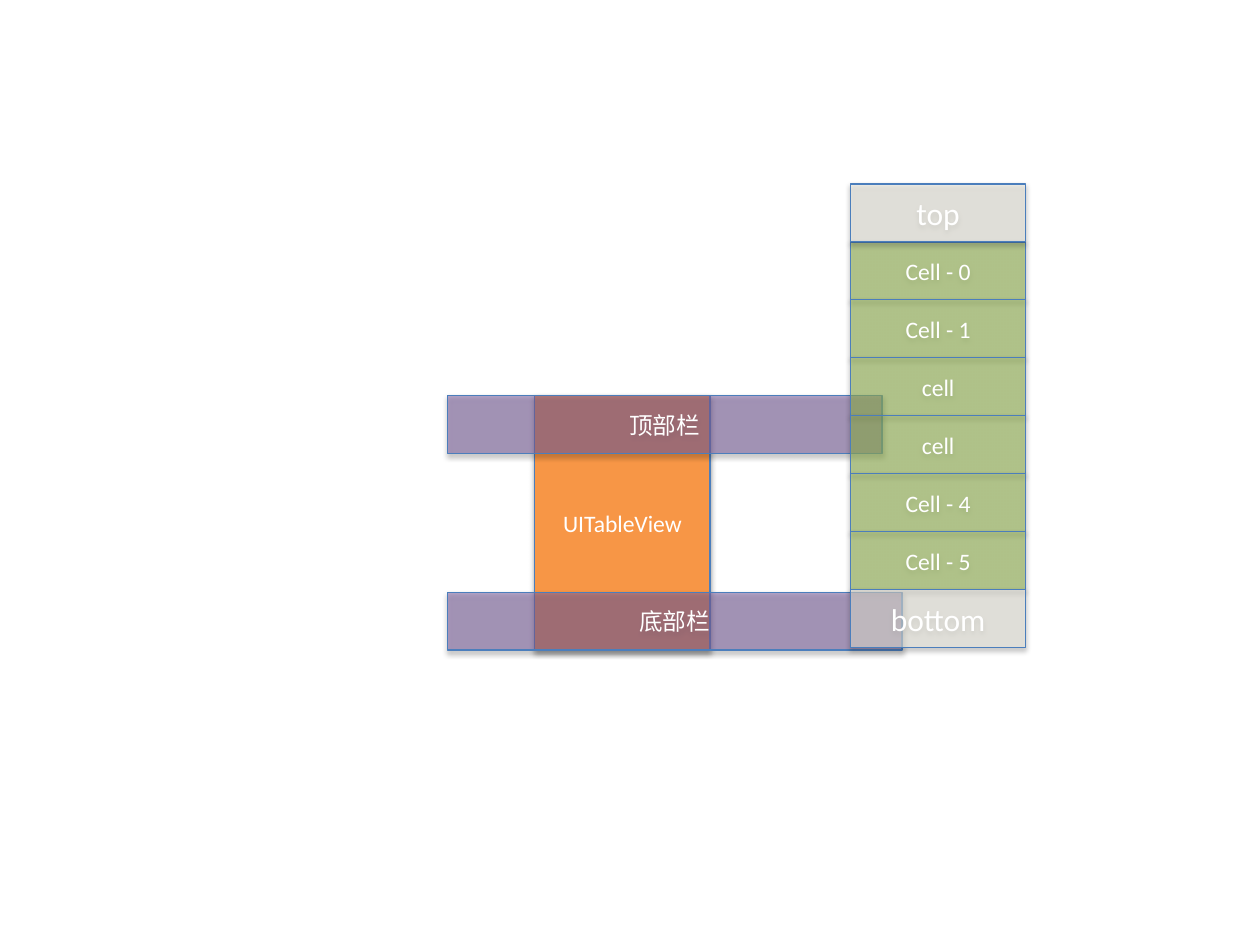
from lxml.etree import SubElement
from pptx import Presentation
from pptx.dml.color import RGBColor
from pptx.enum.shapes import MSO_SHAPE
from pptx.enum.text import MSO_ANCHOR, PP_ALIGN
from pptx.oxml.ns import qn
from pptx.util import Inches, Pt

ORANGE = RGBColor(0xF7, 0x96, 0x46)
PURPLE = RGBColor(0x80, 0x64, 0xA2)
GREEN = RGBColor(0x9B, 0xBB, 0x59)
CREAM = RGBColor(0xEE, 0xEC, 0xE1)
BLUE = RGBColor(0x4B, 0x7E, 0xBC)
WHITE = RGBColor(0xFF, 0xFF, 0xFF)
BAR_H = 0.46
COL_W = 1.39
CELLS = ["Cell - 0", "Cell - 1", "cell", "cell", "Cell - 4", "Cell - 5"]


def set_alpha(color, percent):
    """Make a colour element partly transparent."""
    SubElement(color, qn("a:alpha"), val=str(percent * 1000))


def add_shadow(sp):
    """Give a shape a soft shadow straight below it."""
    sp.shadow.inherit = False
    effects = sp._element.spPr.find(qn("a:effectLst"))
    shadow = SubElement(effects, qn("a:outerShdw"), blurRad=str(Pt(3.1)),
                        dist=str(Pt(1.8)), dir="5400000", rotWithShape="0")
    set_alpha(SubElement(shadow, qn("a:srgbClr"), val="000000"), 35)


def add_block(shapes, box, text, color, alpha=100, size=13.5):
    """Add a labelled rectangle at box (left, top, width, height)."""
    sp = shapes.add_shape(MSO_SHAPE.RECTANGLE, *map(Inches, box))
    sp.fill.solid()
    sp.fill.fore_color.rgb = color
    if alpha < 100:
        set_alpha(sp._element.spPr.find(".//" + qn("a:srgbClr")), alpha)
    sp.line.color.rgb = BLUE
    sp.line.width = Pt(0.75)
    add_shadow(sp)
    tf = sp.text_frame
    tf.vertical_anchor = MSO_ANCHOR.MIDDLE
    p = tf.paragraphs[0]
    p.text = text
    p.alignment = PP_ALIGN.CENTER
    p.font.name = "Calibri"
    p.font.size = Pt(size)
    p.font.color.rgb = WHITE


def add_screen(shapes, left, top, height):
    """Add the table view with the bars along its top and bottom edges."""
    add_block(shapes, (left + COL_W / 2, top, COL_W, height), "UITableView", ORANGE)
    add_block(shapes, (left, top, 3.45, BAR_H), "顶部栏", PURPLE, 56)
    add_block(shapes, (left, top + height - BAR_H, 3.61, BAR_H), "底部栏", PURPLE, 56)


def add_cell_stack(shapes, left, top):
    """Add the grouped column of cells between its top and bottom insets."""
    group = shapes.add_group_shape().shapes
    rows = [(i, text, GREEN, 58, 13.5) for i, text in enumerate(CELLS, 1)]
    rows += [(0, "top", CREAM, 56, 18), (len(CELLS) + 1, "bottom", CREAM, 56, 18)]
    for i, *style in rows:
        add_block(group, (left, top + i * BAR_H, COL_W, BAR_H), *style)


prs = Presentation()
prs.slide_width, prs.slide_height = Inches(10), Inches(7.5)
slide = prs.slides.add_slide(prs.slide_layouts[6])
add_screen(slide.shapes, 3.55, 3.14, 2.02)
add_cell_stack(slide.shapes, 6.75, 1.46)
prs.save("out.pptx")
